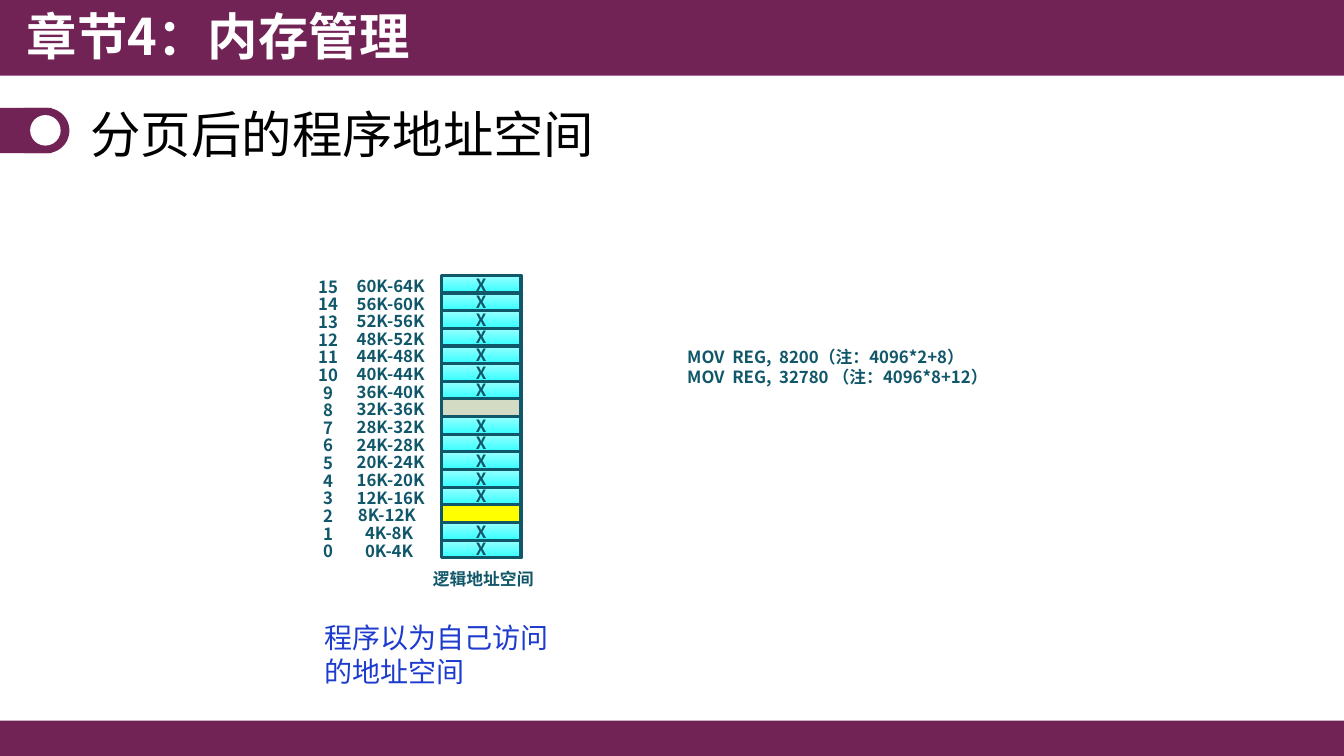
from lxml import etree
from pptx import Presentation, util as u
from pptx.dml.color import RGBColor
from pptx.enum import shapes, text
from pptx.oxml.ns import qn

# Content
TITLE = "章节4：内存管理"
TOPIC = "分页后的程序地址空间"
CAPTION = "逻辑地址空间"
NOTE = "程序以为自己访问的地址空间"
CODE = ["MOV  REG,  8200（注：4096*2+8）",
        "MOV  REG,  32780 （注：4096*8+12）"]
PAGES, SIZE = 16, 4
USED = {8: "sand", 2: "yellow"}
FONT = "Noto Sans CJK SC"
COLORS = {"plum": "712355", "white": "FFFFFF", "black": "000000",
          "teal": "11576A", "blue": "1D3BCE", "light": "99FFFF",
          "cyan": "33FFFF", "sand": "D3DBC5", "yellow": "FFFF00"}

# Page grid, in cm
LEFT, TOP, WIDE, HIGH = 11.12, 6.94, 2.01, 0.45
STEP = 6.67 / (PAGES - 1)

deck = Presentation()
deck.slide_width, deck.slide_height = u.Cm(33.87), u.Cm(19.05)
slide = deck.slides.add_slide(deck.slide_layouts[6])
RECT, OVAL = shapes.MSO_SHAPE.RECTANGLE, shapes.MSO_SHAPE.OVAL
MID, TOP_EDGE = text.MSO_ANCHOR.MIDDLE, text.MSO_ANCHOR.TOP


def color(name):
    return RGBColor.from_string(COLORS[name])


def paint(shape, fill, edge=None):
    shape.shadow.inherit = False
    if fill == "page":
        shape.fill.gradient()
        shape.fill.gradient_angle = 270
        for stop, name in zip(shape.fill.gradient_stops, ("light", "cyan")):
            stop.color.rgb = color(name)
    else:
        shape.fill.solid()
        shape.fill.fore_color.rgb = color(fill)
    if edge:
        shape.line.color.rgb = color(edge)
        shape.line.width = u.Pt(2.25)
    else:
        shape.line.fill.background()


def draw(kind, x, y, w, h, fill, edge=None):
    paint(slide.shapes.add_shape(kind, u.Cm(x), u.Cm(y), u.Cm(w), u.Cm(h)),
          fill, edge)


def write(words, x, y, w, h=0.76, size=12, ink="teal", bold=True,
          center=False, anchor=TOP_EDGE):
    box = slide.shapes.add_textbox(u.Cm(x), u.Cm(y), u.Cm(w), u.Cm(h))
    frame = box.text_frame
    frame.word_wrap = True
    frame.vertical_anchor = anchor
    para = frame.paragraphs[0]
    para.alignment = text.PP_ALIGN.CENTER if center else text.PP_ALIGN.LEFT
    run = para.add_run()
    run.text = words
    font = run.font
    font.size, font.bold, font.name = u.Pt(size), bold, FONT
    font.color.rgb = color(ink)
    etree.SubElement(run._r.get_or_add_rPr(), qn("a:ea"), typeface=FONT)


# Bars and topic marker
draw(RECT, 0, 18.16, 33.87, 0.89, "plum")
draw(RECT, 0, 0, 33.87, 1.91, "plum")
draw(shapes.MSO_SHAPE.FLOWCHART_DELAY, 0.6, 2.72, 1.15, 1.14, "plum")
draw(RECT, 0, 2.72, 1.3, 1.14, "plum")
draw(OVAL, 0.76, 2.9, 0.77, 0.77, "white")

# Page cells; the pages in use go on top
tops = {n: TOP + (PAGES - 1 - n) * STEP for n in reversed(range(PAGES))}
free = [n for n in tops if n not in USED]
for n in free:
    draw(RECT, LEFT, tops[n], WIDE, HIGH, "page", "teal")
for n, fill in USED.items():
    draw(RECT, LEFT, tops[n], WIDE, HIGH, fill, "teal")

# Page marks, numbers and ranges
for n, y in tops.items():
    if n in free:
        write("X", LEFT, y, WIDE, HIGH, center=True, anchor=MID)
    write(str(n), 7.75, y - 0.1, 1.04, center=True)
    x = 8.74 if n > 2 else 8.77 if n == 2 else 8.95
    write(f"{n * SIZE}K-{(n + 1) * SIZE}K", x, y - 0.12, 2.4)

# Captions and code
write(CAPTION, 10.39, 14.2, 3.58, center=True)
for i, line in enumerate(CODE):
    write(line, 17.07, 8.61 + i * 0.51, 10.97)
write(NOTE, 7.92, 15.52, 6.2, 1.96, size=20, ink="blue", bold=False)

# Headings
write(TITLE, 0.43, 0, 16.94, 1.96, size=36, ink="white")
write(TOPIC, 2.03, 2.41, 29.29, 1.91, size=36, ink="black", bold=False,
      anchor=MID)

deck.save("out.pptx")
